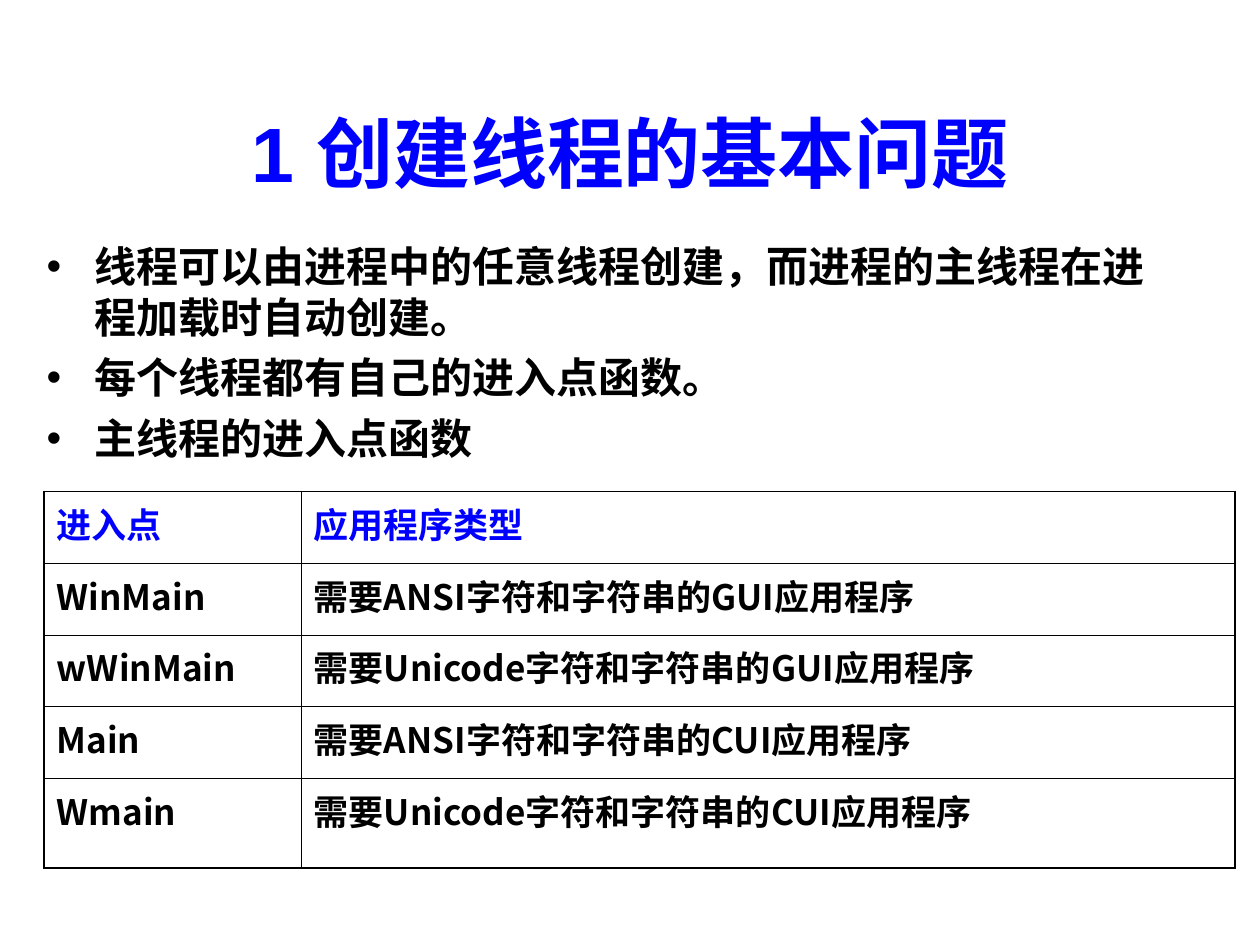
from dataclasses import dataclass

import pptx
import pptx.dml.color
import pptx.enum.shapes
import pptx.enum.text
import pptx.oxml.ns
import pptx.util
from lxml import etree

Inches = pptx.util.Inches
Pt = pptx.util.Pt
qn = pptx.oxml.ns.qn

BLUE = pptx.dml.color.RGBColor(0x00, 0x00, 0xFF)
BLACK = pptx.dml.color.RGBColor(0x00, 0x00, 0x00)
LATIN_FONT = "Arial"
CHINESE_FONT = "Noto Sans CJK SC"
OUTER_LINE = Pt(1.08)
INNER_LINE = Pt(0.45)


@dataclass
class Area:
    left: float
    top: float
    width: float
    height: float

    def lengths(self) -> tuple:
        return tuple(map(Inches, (self.left, self.top, self.width, self.height)))


@dataclass
class EntryPoint:
    name: str
    application: str


TITLE = "1 创建线程的基本问题 "
POINTS = [
    "线程可以由进程中的任意线程创建，而进程的主线程在进程加载时自动创建。",
    "每个线程都有自己的进入点函数。",
    "主线程的进入点函数",
]
ENTRY_POINTS = [
    EntryPoint("进入点", "应用程序类型"),
    EntryPoint("WinMain", "需要ANSI字符和字符串的GUI应用程序"),
    EntryPoint("wWinMain", "需要Unicode字符和字符串的GUI应用程序"),
    EntryPoint("Main", "需要ANSI字符和字符串的CUI应用程序"),
    EntryPoint("Wmain", "需要Unicode字符和字符串的CUI应用程序"),
]
COLUMN_WIDTHS = [2.04, 7.41]
ROW_HEIGHTS = [0.57, 0.57, 0.57, 0.57, 0.71]


def place(shape, area: Area) -> None:
    shape.left, shape.top, shape.width, shape.height = area.lengths()


def style(paragraph, size: int, color, latin: str) -> None:
    font = paragraph.font
    font.name, font.size, font.bold = latin, Pt(size), True
    font.color.rgb = color
    east_asian = etree.Element(qn("a:ea"), typeface=CHINESE_FONT)
    font._element.find(qn("a:latin")).addnext(east_asian)


def add_bullet(paragraph) -> None:
    properties = paragraph._p.get_or_add_pPr()
    properties.set("marL", str(Inches(0.38)))
    properties.set("indent", str(-Inches(0.38)))
    color = etree.SubElement(properties, qn("a:buClr"))
    etree.SubElement(color, qn("a:srgbClr"), val=str(BLACK))
    etree.SubElement(properties, qn("a:buFont"), typeface=LATIN_FONT)
    etree.SubElement(properties, qn("a:buChar"), char="•")


def add_border(cell, side: str, width: int) -> None:
    properties = cell._tc.get_or_add_tcPr()
    line = etree.SubElement(properties, qn(f"a:ln{side}"), w=str(width))
    fill = etree.SubElement(line, qn("a:solidFill"))
    etree.SubElement(fill, qn("a:srgbClr"), val=str(BLACK))


def add_corner_dot(page) -> None:
    x, y = Inches(9.02), Inches(7.14)
    dot = page.shapes.add_connector(pptx.enum.shapes.MSO_CONNECTOR.STRAIGHT, x, y, x, y)
    dot.line.color.rgb = BLACK
    dot.line.width = Pt(0.75)
    etree.SubElement(dot._element.spPr, qn("a:effectLst"))


def fill_title(box) -> None:
    place(box, Area(0.35, 0.78, 9.45, 0.84))
    frame = box.text_frame
    frame.text = TITLE
    frame.vertical_anchor = pptx.enum.text.MSO_ANCHOR.BOTTOM
    frame.auto_size = pptx.enum.text.MSO_AUTO_SIZE.SHAPE_TO_FIT_TEXT
    paragraph = frame.paragraphs[0]
    paragraph.alignment = pptx.enum.text.PP_ALIGN.CENTER
    style(paragraph, 44, BLUE, LATIN_FONT)


def fill_points(box) -> None:
    place(box, Area(0.27, 1.86, 9.21, 2.18))
    frame = box.text_frame
    frame.text = "\n".join(POINTS)
    frame.auto_size = pptx.enum.text.MSO_AUTO_SIZE.NONE
    for index, paragraph in enumerate(frame.paragraphs):
        add_bullet(paragraph)
        paragraph.space_before = Pt(6 if index else 0)
        style(paragraph, 24, BLACK, LATIN_FONT)


def add_entry_table(page) -> None:
    area = Area(0.35, 3.9, sum(COLUMN_WIDTHS), sum(ROW_HEIGHTS))
    last_row, last_column = len(ROW_HEIGHTS) - 1, len(COLUMN_WIDTHS) - 1
    table = page.shapes.add_table(last_row + 1, last_column + 1, *area.lengths()).table
    table.first_row = table.horz_banding = False
    for column, width in zip(table.columns, COLUMN_WIDTHS):
        column.width = Inches(width)
    for row, height in zip(table.rows, ROW_HEIGHTS):
        row.height = Inches(height)

    for i, entry in enumerate(ENTRY_POINTS):
        for j, text in enumerate((entry.name, entry.application)):
            cell = table.cell(i, j)
            cell.text = text
            style(cell.text_frame.paragraphs[0], 20, BLACK if i else BLUE, CHINESE_FONT)
            # The outline of the table is heavier than its grid
            outer_sides = {"L": j == 0, "R": j == last_column, "T": i == 0, "B": i == last_row}
            for side, is_outer in outer_sides.items():
                add_border(cell, side, OUTER_LINE if is_outer else INNER_LINE)
            cell.fill.background()


def main() -> None:
    deck = pptx.Presentation()
    deck.slide_width, deck.slide_height = Inches(10), Inches(7.5)
    page = deck.slides.add_slide(deck.slide_layouts[1])

    # Title and bullet list
    fill_title(page.shapes.title)
    fill_points(page.placeholders[1])

    # Entry points and their application types
    add_entry_table(page)

    # Small mark in the lower right corner
    add_corner_dot(page)

    deck.save("out.pptx")


if __name__ == "__main__":
    main()
